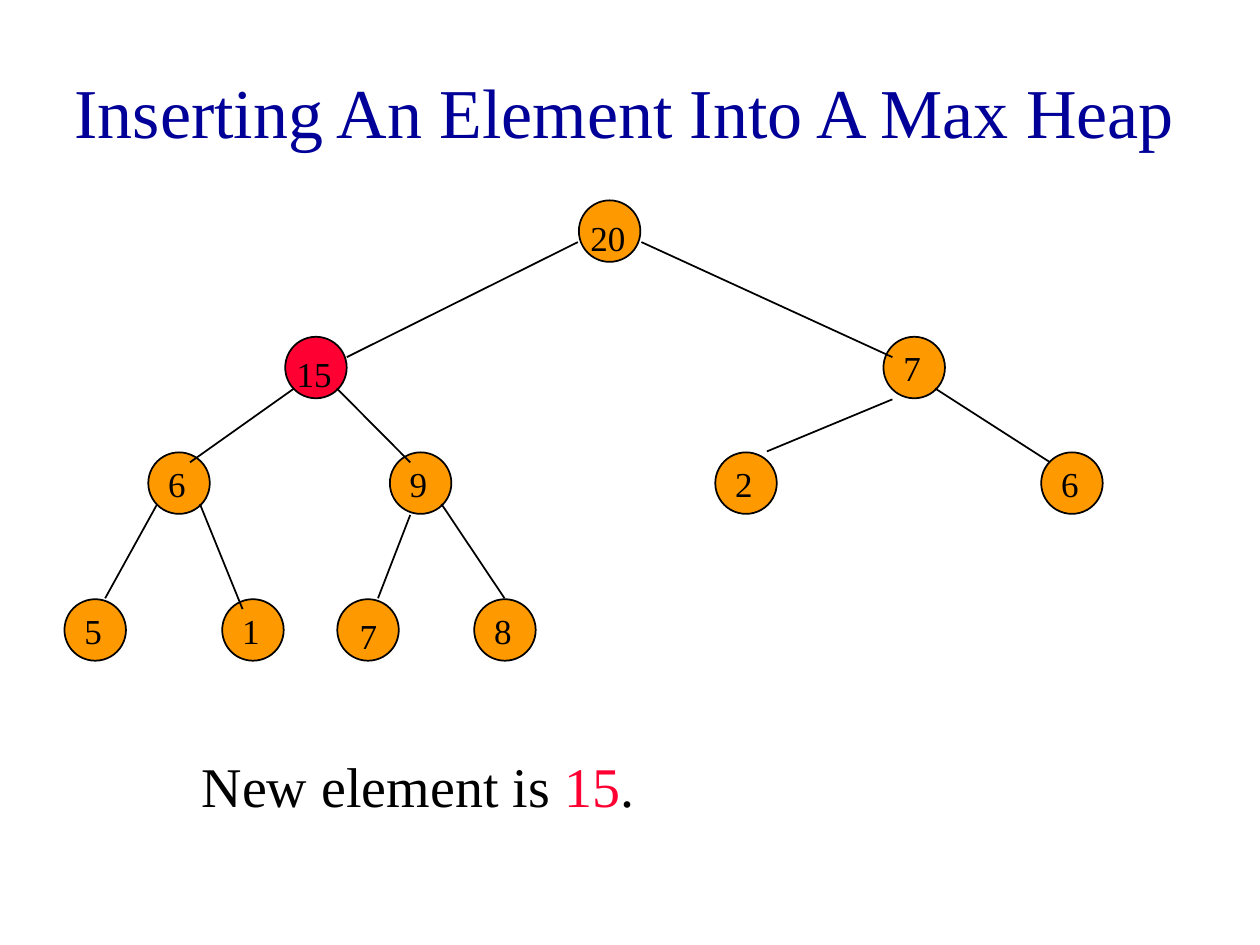
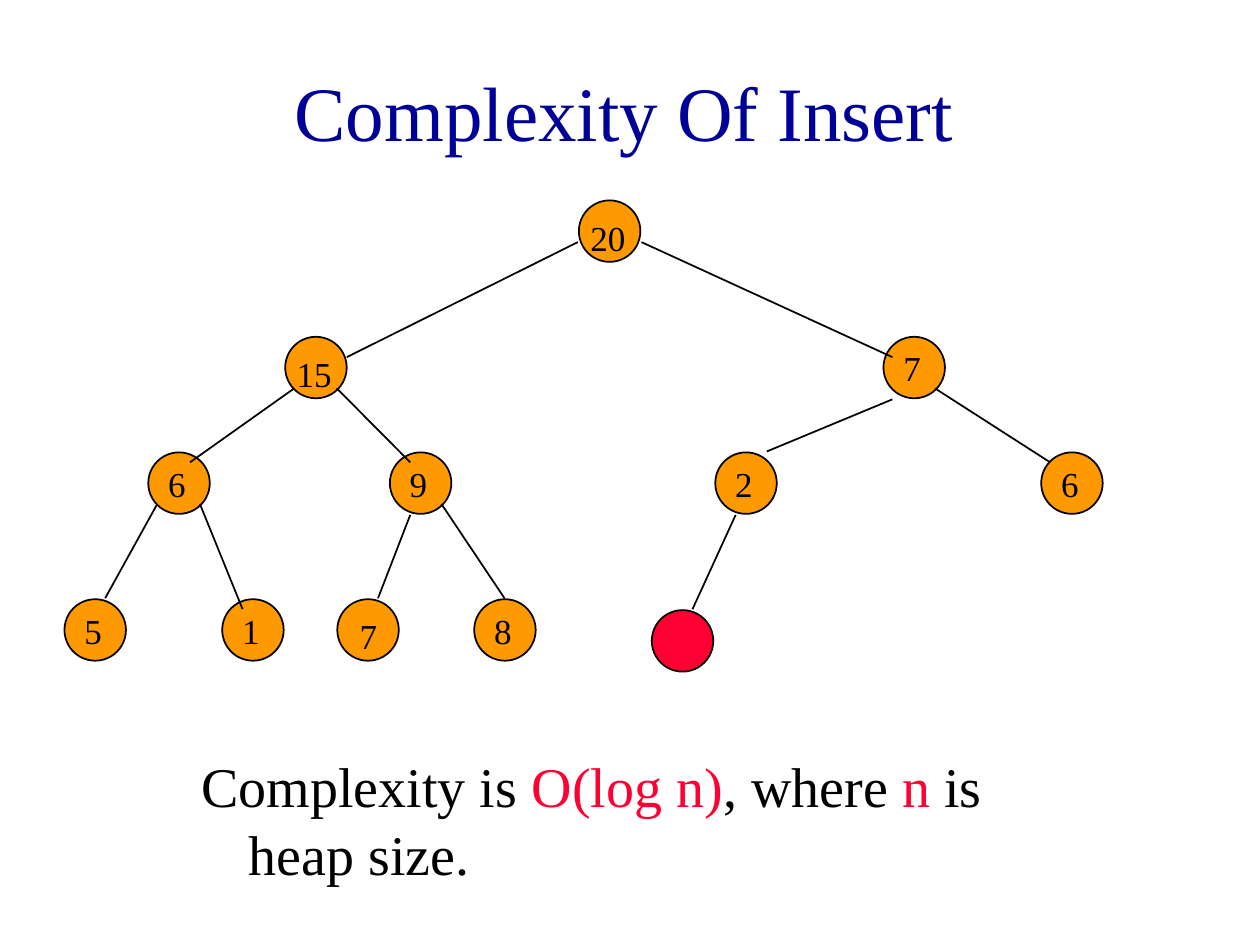
from dataclasses import dataclass

from pptx import Presentation
from pptx.dml.color import RGBColor
from pptx.enum.shapes import MSO_CONNECTOR, MSO_SHAPE
from pptx.enum.text import MSO_ANCHOR as Anchor, MSO_AUTO_SIZE as AutoSize, PP_ALIGN as Align
from pptx.oxml.ns import qn
from pptx.util import Cm, Pt


@dataclass(frozen=True)
class Theme:
    font: str = "Times New Roman"
    title: str = "000099"
    ink: str = "000000"
    accent: str = "FF0033"
    node: str = "FF9900"
    title_size: int = 44
    long_title_size: int = 40
    body_size: int = 32
    label_size: int = 20
    line_width: float = 1


THEME = Theme()

# Boxes in cm: left, top, width, height
TITLE_BOX = (0.2, 0.64, 24.77, 3.18)
CAPTION_BOX = (3.81, 15.03, 17.78, 0.64)
HEAP_ORIGIN = (1.3, 4.04)
CAPTION_INDENT = 0.95
NODE_SIZE = 1.24

# Label boxes in cm, from the node's corner: left, top, width
PLAIN = (0.15, 0.08, 0.86)
LOW = (0.2, 0.18, 0.64)
WIDE = (-0.02, 0.2, 2.2)

# Nodes by heap position: label, left, label box; each level shares a top
LEVEL_TOPS = (0, 2.75, 5.08, 8.04)
NODES = {
    1: ("20", 10.37, WIDE),
    2: ("15", 4.45, WIDE),
    3: ("7", 16.51, PLAIN),
    4: ("6", 1.69, PLAIN),
    5: ("9", 6.56, PLAIN),
    6: ("2", 13.12, PLAIN),
    7: ("6", 19.69, PLAIN),
    8: ("5", 0, PLAIN),
    9: ("1", 3.18, PLAIN),
    10: ("7", 5.5, LOW),
    11: ("8", 8.26, PLAIN),
}
NEW_NODE = (11.84, 8.26)
NEW_NODE_PARENT = 6

# Edges by child position: start from the parent's corner, end from the child's
BOTTOM_LEFT, BOTTOM_RIGHT = (0.18, 1.04), (1.04, 1.04)
UNDER_LEFT = (0.41, 1.26)
TOP_RIGHT = (0.82, -0.02)
EDGES = {
    2: ((-0.02, 0.84), (1.24, 0.41)),
    3: ((1.26, 0.84), (0.18, 0.41)),
    4: (BOTTOM_LEFT, (0.84, 0.2)),
    5: (BOTTOM_RIGHT, (0.41, 0.2)),
    6: ((0.18, 1.26), (1.04, -0.02)),
    7: (BOTTOM_RIGHT, (0.18, 0.2)),
    8: (BOTTOM_LEFT, TOP_RIGHT),
    9: (BOTTOM_RIGHT, (0.41, 0.2)),
    10: (UNDER_LEFT, TOP_RIGHT),
    11: (BOTTOM_RIGHT, (0.61, -0.02)),
}


def rgb(color):
    return RGBColor.from_string(color)


def add_points(a, b):
    return a[0] + b[0], a[1] + b[1]


def write(tf, *parts, size, color=THEME.ink, align=Align.LEFT, anchor=Anchor.TOP,
          before=0, auto_size=AutoSize.NONE):
    """Fill the first paragraph with parts: strings or (string, colour) pairs."""
    tf.word_wrap = True
    tf.auto_size = auto_size
    tf.vertical_anchor = anchor
    p = tf.paragraphs[0]
    p.alignment = align
    p.space_before = Pt(before)
    for part in parts:
        text, part_color = (part, color) if isinstance(part, str) else part
        r = p.add_run()
        r.text = text
        r.font.name = THEME.font
        r.font.size = Pt(size)
        r.font.color.rgb = rgb(part_color)
    return p


def place(sp, box):
    sp.left, sp.top, sp.width, sp.height = map(Cm, box)


def add_title(s, box, text, size):
    sp = s.shapes.title
    place(sp, box)
    write(sp.text_frame, text, size=size, color=THEME.title,
          align=Align.CENTER, anchor=Anchor.MIDDLE)


def add_caption(s, box, parts):
    sp = s.placeholders[1]
    place(sp, box)
    p = write(sp.text_frame, *parts, size=THEME.body_size, before=8)
    ppr = p._p.get_or_add_pPr()
    ppr.set("marL", str(Cm(CAPTION_INDENT)))
    ppr.set("indent", str(-Cm(CAPTION_INDENT)))


def add_node(shapes, corner, fill):
    sp = shapes.add_shape(MSO_SHAPE.OVAL, *map(Cm, (*corner, NODE_SIZE, NODE_SIZE)))
    sp.shadow.inherit = False
    sp.fill.solid()
    sp.fill.fore_color.rgb = rgb(fill)
    sp.line.color.rgb = rgb(THEME.ink)
    sp.line.width = Pt(THEME.line_width)


def add_label(shapes, corner, text, label_box):
    left, top, width = label_box
    x, y = add_points(corner, (left, top))
    sp = shapes.add_textbox(Cm(x), Cm(y), Cm(width), Cm(1.09))
    write(sp.text_frame, text, size=THEME.label_size, auto_size=AutoSize.SHAPE_TO_FIT_TEXT)


def add_edge(shapes, parent, child, ends):
    start, end = add_points(parent, ends[0]), add_points(child, ends[1])
    cxn = shapes.add_connector(MSO_CONNECTOR.STRAIGHT, *map(Cm, (*start, *end)))
    cxn.line.color.rgb = rgb(THEME.ink)
    cxn.line.width = Pt(THEME.line_width)
    sp_pr = cxn._element.spPr
    sp_pr.append(sp_pr.makeelement(qn("a:effectLst"), {}))


def node_corner(origin, position):
    """The level of a heap position follows from its binary length."""
    return add_points(origin, (NODES[position][1], LEVEL_TOPS[position.bit_length() - 1]))


def add_heap(shapes, origin, highlight=None):
    corners = {i: node_corner(origin, i) for i in NODES}
    for i, corner in corners.items():
        add_node(shapes, corner, THEME.accent if i == highlight else THEME.node)
    for i, ends in EDGES.items():
        add_edge(shapes, corners[i // 2], corners[i], ends)
    for i, (text, _, label_box) in NODES.items():
        add_label(shapes, corners[i], text, label_box)


def add_new_node(shapes, origin):
    corner = add_points(origin, NEW_NODE)
    add_node(shapes, corner, THEME.accent)
    add_edge(shapes, node_corner(origin, NEW_NODE_PARENT), corner, (UNDER_LEFT, TOP_RIGHT))


def add_heap_slide(prs, title, caption, title_size=THEME.title_size):
    s = prs.slides.add_slide(prs.slide_layouts[0])
    add_title(s, TITLE_BOX, title, title_size)
    add_caption(s, CAPTION_BOX, caption)
    return s


def main():
    prs = Presentation()
    prs.slide_width, prs.slide_height = Cm(25.4), Cm(19.05)

    s = add_heap_slide(prs, "Inserting An Element Into A Max Heap",
                       ("New element is ", ("15", THEME.accent), "."),
                       title_size=THEME.long_title_size)
    add_heap(s.shapes, HEAP_ORIGIN, highlight=2)

    s = add_heap_slide(prs, "Complexity Of Insert",
                       ("Complexity is ", ("O(log n)", THEME.accent), ", where ",
                        ("n ", THEME.accent), "is heap size."))
    add_heap(s.shapes.add_group_shape().shapes, HEAP_ORIGIN)
    add_new_node(s.shapes.add_group_shape().shapes, HEAP_ORIGIN)

    prs.save("out.pptx")


if __name__ == "__main__":
    main()
